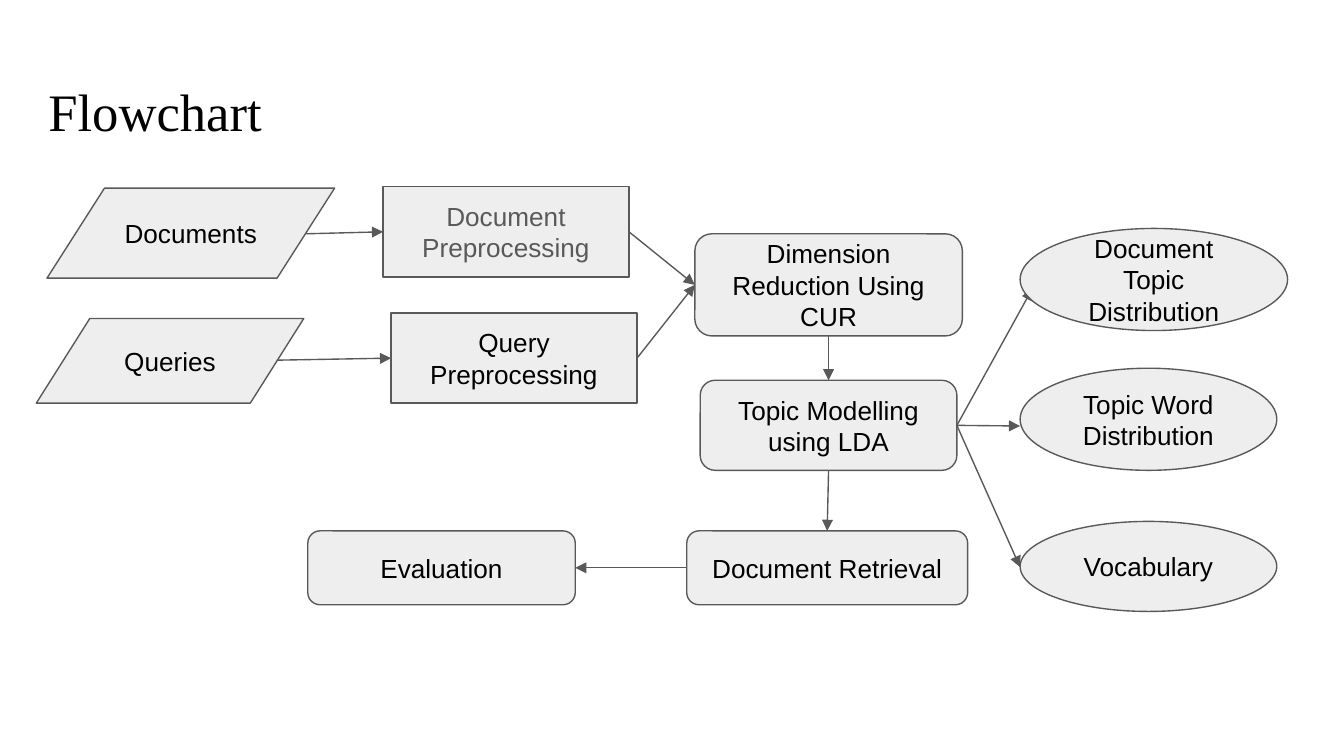
from dataclasses import dataclass
from typing import Any

from lxml.etree import SubElement
from pptx import Presentation
from pptx.dml.color import RGBColor
from pptx.enum.shapes import MSO_CONNECTOR as Connector, MSO_SHAPE as Shape
from pptx.enum.text import MSO_ANCHOR as Anchor, MSO_AUTO_SIZE as AutoSize, PP_ALIGN as Align
from pptx.oxml.ns import qn
from pptx.util import Inches, Pt

BLACK = RGBColor(0x00, 0x00, 0x00)
GRAY = RGBColor(0x59, 0x59, 0x59)
PALE = RGBColor(0xEE, 0xEE, 0xEE)
WHITE = RGBColor(0xFF, 0xFF, 0xFF)
TOP, LEFT, BOTTOM, RIGHT = range(4)


def write_text(frame, text, font="Arial", size=14, color=BLACK,
               align=Align.CENTER, anchor=Anchor.MIDDLE):
    frame.word_wrap = True
    frame.auto_size = AutoSize.NONE
    frame.vertical_anchor = anchor
    frame.margin_left = frame.margin_right = Inches(0.1)
    frame.margin_top = frame.margin_bottom = Inches(0.1)
    paragraph = frame.paragraphs[0]
    paragraph.alignment = align
    run = paragraph.add_run()
    run.text = text
    run.font.name = font
    run.font.size = Pt(size)
    run.font.color.rgb = color


@dataclass
class Flowchart:
    slide: Any
    fill: RGBColor = PALE
    line: RGBColor = GRAY
    line_width: float = 0.75

    def title(self, text, left, top, width, height):
        heading = self.slide.shapes.title
        heading.left, heading.top = Inches(left), Inches(top)
        heading.width, heading.height = Inches(width), Inches(height)
        write_text(heading.text_frame, text, font="Times New Roman", size=28.2,
                   align=Align.LEFT, anchor=Anchor.TOP)

    def step(self, kind, text, left, top, width, height, **text_format):
        step = self.slide.shapes.add_shape(
            kind, Inches(left), Inches(top), Inches(width), Inches(height))
        step.shadow.inherit = False
        step.fill.solid()
        step.fill.fore_color.rgb = self.fill
        step.line.color.rgb = self.line
        step.line.width = Pt(self.line_width)
        write_text(step.text_frame, text, **text_format)
        return step

    def arrow(self, start, end):
        arrow = self.slide.shapes.add_connector(Connector.STRAIGHT, 0, 0, 0, 0)
        if isinstance(start[0], float):
            arrow.begin_x, arrow.begin_y = map(Inches, start)
        else:
            arrow.begin_connect(*start)
        if isinstance(end[0], float):
            arrow.end_x, arrow.end_y = map(Inches, end)
        else:
            arrow.end_connect(*end)
        arrow.line.color.rgb = self.line
        arrow.line.width = Pt(self.line_width)
        SubElement(arrow.line._get_or_add_ln(), qn("a:tailEnd"), type="triangle")
        SubElement(arrow._element.spPr, qn("a:effectLst"))


def main():
    deck = Presentation()
    deck.slide_width = Inches(10)
    deck.slide_height = deck.slide_width * 9 // 16
    slide = deck.slides.add_slide(deck.slide_layouts[5])
    slide.background.fill.solid()
    slide.background.fill.fore_color.rgb = WHITE
    chart = Flowchart(slide)
    chart.title("Flowchart", 0.26, 0.49, 9.32, 0.63)

    rounded = Shape.ROUNDED_RECTANGLE
    reduction = chart.step(rounded, "Dimension Reduction Using CUR", 5.17, 1.74, 1.99, 0.76)
    modelling = chart.step(rounded, "Topic Modelling using LDA", 5.21, 2.83, 1.91, 0.67)
    retrieval = chart.step(rounded, "Document Retrieval", 5.11, 3.95, 2.09, 0.55)
    evaluation = chart.step(rounded, "Evaluation", 2.29, 3.95, 1.99, 0.55)

    chart.step(Shape.FLOWCHART_DATA, "Documents", 0.35, 1.4, 2.14, 0.67)
    chart.step(Shape.FLOWCHART_DATA, "Queries", 0.27, 2.37, 1.99, 0.63)
    document_prep = chart.step(Shape.FLOWCHART_PROCESS, "Document Preprocessing",
                               2.85, 1.39, 1.83, 0.67, color=GRAY)
    query_prep = chart.step(Shape.FLOWCHART_PROCESS, "Query Preprocessing",
                            2.91, 2.33, 1.83, 0.67)

    for start, end in (
        ((2.27, 1.74), (document_prep, LEFT)),
        ((2.06, 2.68), (query_prep, LEFT)),
        ((document_prep, RIGHT), (reduction, LEFT)),
        ((query_prep, RIGHT), (reduction, LEFT)),
        ((reduction, BOTTOM), (modelling, TOP)),
        ((modelling, BOTTOM), (retrieval, TOP)),
        ((retrieval, LEFT), (evaluation, RIGHT)),
        ((modelling, RIGHT), (7.59, 4.22)),
        ((modelling, RIGHT), (7.68, 2.15)),
        ((modelling, RIGHT), (7.59, 3.17)),
    ):
        chart.arrow(start, end)

    for text, top, width, height in (
        ("Vocabulary", 3.88, 1.91, 0.67),
        ("Topic Word Distribution", 2.74, 1.91, 0.76),
        ("Document Topic Distribution", 1.7, 1.99, 0.76),
    ):
        chart.step(Shape.OVAL, text, 7.59, top, width, height)

    deck.save("out.pptx")


if __name__ == "__main__":
    main()
